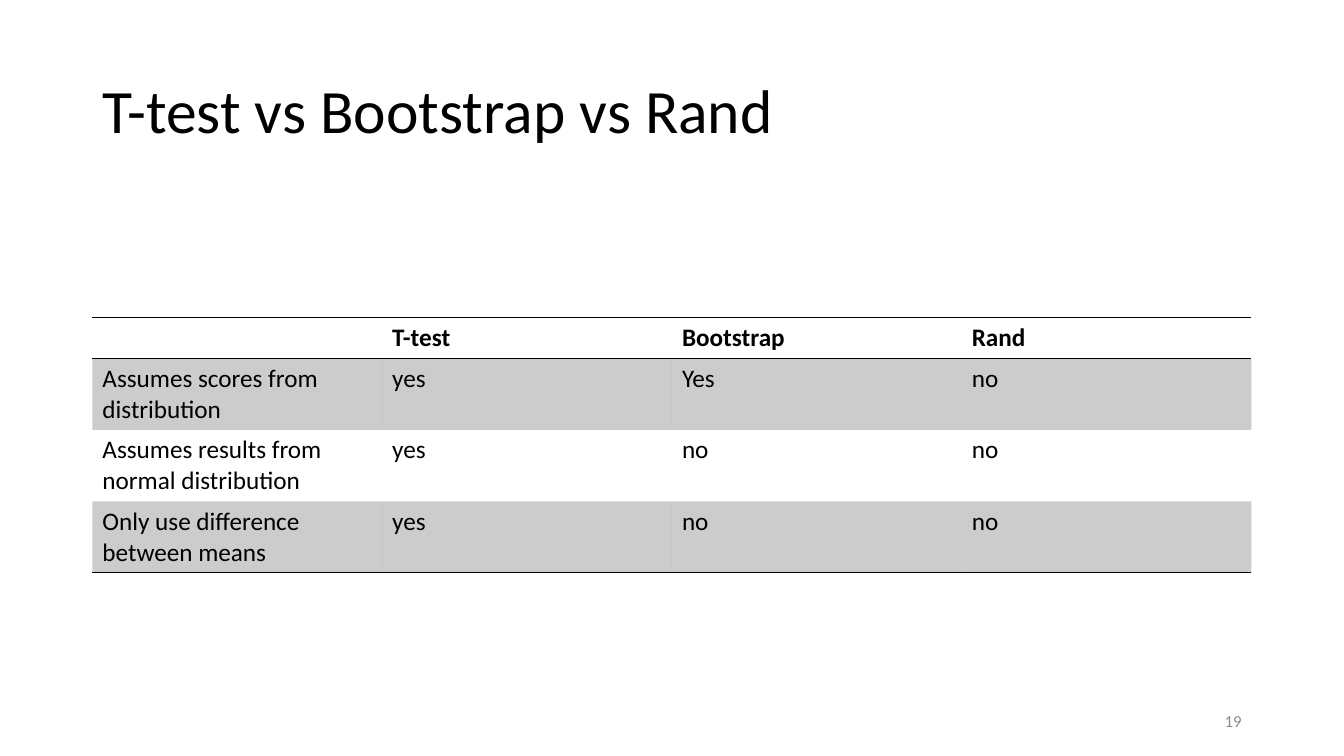
from lxml import etree
from pptx import Presentation
from pptx.dml.color import RGBColor
from pptx.enum.text import MSO_ANCHOR, PP_ALIGN
from pptx.oxml.ns import qn
from pptx.util import Pt

LEFT, RIGHT = PP_ALIGN.LEFT, PP_ALIGN.RIGHT
MIDDLE = MSO_ANCHOR.MIDDLE
PLAIN = "{2D5ABB26-0587-4C30-8999-92F81FD0307C}"
FONT = "Calibri"
COLORS = {"ink": "000000", "page": "8C8C8C"}
ROWS = [
    ["", "T-test", "Bootstrap", "Rand"],
    ["Assumes scores from distribution", "yes", "Yes", "no"],
    ["Assumes results from normal distribution", "yes", "no", "no"],
    ["Only use difference between means", "yes", "no", "no"],
]


def write(frame, text, size=18, color="ink", bold=False, align=LEFT, space=1.0):
    para = frame.paragraphs[0]
    para.alignment = align
    para.line_spacing = space
    run = para.add_run()
    run.text = text
    font = run.font
    font.name, font.size, font.bold = FONT, Pt(size), bold
    font.color.rgb = RGBColor.from_string(COLORS[color])


def label(slide, box, text, **style):
    shape = slide.shapes.add_textbox(*map(Pt, box))
    frame = shape.text_frame
    frame.word_wrap = True
    frame.vertical_anchor = MIDDLE
    write(frame, text, **style)


def shade(cell, alpha):
    cell.fill.solid()
    cell.fill.fore_color.rgb = RGBColor.from_string(COLORS["ink"])
    tint = cell._tc.tcPr.find(".//" + qn("a:srgbClr"))
    etree.SubElement(tint, qn("a:alpha"), val=str(alpha * 1000))


def rule(cell, sides):
    props = cell._tc.get_or_add_tcPr()
    for spot, side in enumerate(sides):
        line = etree.Element(qn("a:ln" + side), w=str(Pt(1)))
        fill = etree.SubElement(line, qn("a:solidFill"))
        etree.SubElement(fill, qn("a:srgbClr"), val=COLORS["ink"])
        props.insert(spot, line)


def grid(slide, box, rows, head):
    left, top, width, height = box
    count = len(rows)
    frame = slide.shapes.add_table(count, len(rows[0]), *map(Pt, box))
    table = frame.table
    table.first_row = table.horz_banding = False
    table._tbl.tblPr.find(qn("a:tableStyleId")).text = PLAIN
    for col in table.columns:
        col.width = Pt(width / len(rows[0]))
    for r, texts in enumerate(rows):
        table.rows[r].height = Pt(head if r == 0 else (height - head) / (count - 1))
        for c, text in enumerate(texts):
            cell = table.cell(r, c)
            if text:
                write(cell.text_frame, text, bold=r == 0)
            if r % 2:
                shade(cell, 20)
            else:
                cell.fill.background()
            if r == 0:
                rule(cell, "TB")
            elif r == count - 1:
                rule(cell, "B")


def main():
    deck = Presentation()
    deck.slide_width, deck.slide_height = Pt(960), Pt(540)
    slide = deck.slides.add_slide(deck.slide_layouts[6])
    label(slide, (66, 28.75, 828, 104.4), "T-test vs Bootstrap vs Rand", size=44, space=0.9)
    grid(slide, (66, 226.8, 828, 182.4), ROWS, 29.2)
    label(slide, (678, 500.5, 216, 28.75), "19", size=12, color="page", align=RIGHT)
    deck.save("out.pptx")


if __name__ == "__main__":
    main()
